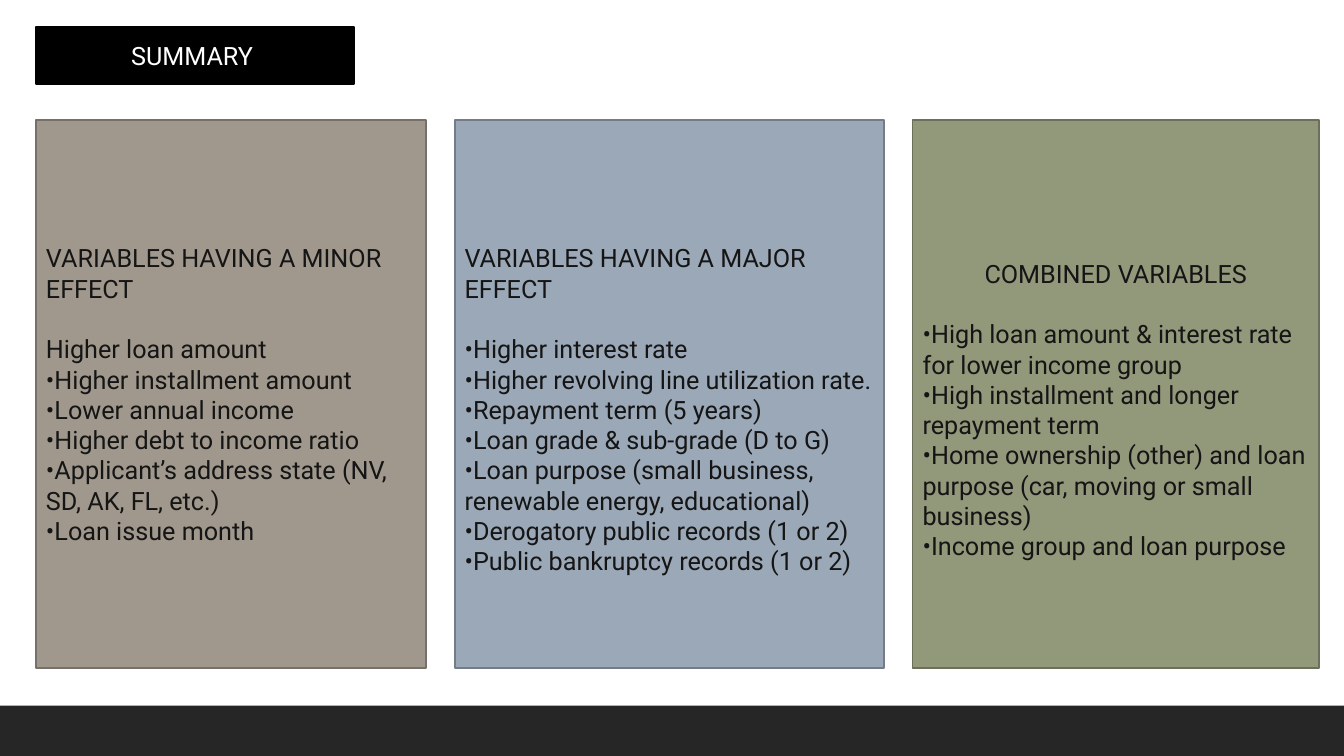
from pptx import Presentation
from pptx.dml.color import RGBColor
from pptx.enum.shapes import MSO_SHAPE
from pptx.enum.text import MSO_ANCHOR, MSO_AUTO_SIZE, PP_ALIGN
from pptx.util import Cm, Pt

BLACK = RGBColor(0x00, 0x00, 0x00)
WHITE = RGBColor(0xFF, 0xFF, 0xFF)
INK = RGBColor(0x15, 0x15, 0x15)
BAND = RGBColor(0x26, 0x26, 0x26)
TAUPE, TAUPE_EDGE = RGBColor(0xA0, 0x98, 0x8C), RGBColor(0x76, 0x70, 0x68)
BLUE, BLUE_EDGE = RGBColor(0x9B, 0xA8, 0xB7), RGBColor(0x73, 0x7C, 0x87)
GREEN, GREEN_EDGE = RGBColor(0x92, 0x98, 0x7A), RGBColor(0x6C, 0x70, 0x5A)

# Content
TITLE = "SUMMARY "
CARDS = [
    dict(head="VARIABLES HAVING A MINOR EFFECT", align=PP_ALIGN.LEFT,
         drop=0, width=9.83, fill=TAUPE, edge=TAUPE_EDGE,
         items=["Higher loan amount",
                "•Higher installment amount",
                "•Lower annual income",
                "•Higher debt to income ratio",
                "•Applicant’s address state (NV, SD, AK, FL, etc.)",
                "•Loan issue month"]),
    dict(head="VARIABLES HAVING A MAJOR EFFECT", align=PP_ALIGN.LEFT,
         drop=0.76, width=10.82, fill=BLUE, edge=BLUE_EDGE,
         items=["•Higher interest rate",
                "•Higher revolving line utilization rate.",
                "•Repayment term (5 years)",
                "•Loan grade & sub-grade (D to G)",
                "•Loan purpose (small business, renewable energy, educational)",
                "•Derogatory public records (1 or 2)",
                "•Public bankruptcy records (1 or 2)"]),
    dict(head="COMBINED VARIABLES", align=PP_ALIGN.CENTER,
         drop=0.76, width=10.24, fill=GREEN, edge=GREEN_EDGE,
         items=["•High loan amount & interest rate for lower income group",
                "•High installment and longer repayment term",
                "•Home ownership (other) and loan purpose "
                "(car, moving or small business)",
                "•Income group and loan purpose"]),
]

# Layout, in centimetres
WIDE, HIGH = 33.87, 19.05
LEFT, GAP = 0.91, 0.72
TOP, TALL = 3.02, 13.82
FOOT = 1.27
INSET = 0.13
LINE = 21.8  # one text line, in points


def write(para, text, color=INK, align=PP_ALIGN.LEFT, after=0):
    """Fill a paragraph with one formatted run."""
    para.alignment = align
    para.space_before, para.space_after = Pt(0), Pt(after)
    run = para.add_run()
    run.text = text
    run.font.name, run.font.size = "Roboto", Pt(18)
    run.font.color.rgb = color


def paint(shape, fill, edge=None):
    """Set the fill and outline of a shape."""
    shape.fill.solid()
    shape.fill.fore_color.rgb = fill
    if edge is None:
        shape.line.fill.background()
    else:
        shape.line.color.rgb = edge
        shape.line.width = Pt(1.25)


def block(slide, x, y, w, h, fill, edge=None):
    """Add a plain rectangle."""
    shape = slide.shapes.add_shape(
        MSO_SHAPE.RECTANGLE, Cm(x), Cm(y), Cm(w), Cm(h))
    shape.shadow.inherit = False
    paint(shape, fill, edge)
    return shape


def main():
    deck = Presentation()
    deck.slide_width, deck.slide_height = Cm(WIDE), Cm(HIGH)
    slide = deck.slides.add_slide(deck.slide_layouts[5])

    # Footer band
    block(slide, 0, HIGH - FOOT, WIDE, FOOT, BAND)

    # Title
    title = slide.shapes.title
    title.left, title.top = Cm(LEFT), Cm(0.68)
    title.width, title.height = Cm(8.02), Cm(1.43)
    paint(title, BLACK, BLACK)
    frame = title.text_frame
    frame.auto_size = MSO_AUTO_SIZE.NONE
    frame.vertical_anchor = MSO_ANCHOR.MIDDLE
    write(frame.paragraphs[0], TITLE, color=WHITE, align=PP_ALIGN.CENTER)

    # Cards, left to right
    x = LEFT
    for card in CARDS:
        shape = block(slide, x, TOP, card["width"], TALL,
                      card["fill"], card["edge"])
        frame = shape.text_frame
        frame.word_wrap = True
        frame.vertical_anchor = MSO_ANCHOR.MIDDLE
        frame.margin_top = Cm(INSET + card["drop"])
        write(frame.paragraphs[0], card["head"],
              align=card["align"], after=LINE)
        for item in card["items"]:
            write(frame.add_paragraph(), item)
        x += card["width"] + GAP

    deck.save("out.pptx")


if __name__ == "__main__":
    main()
